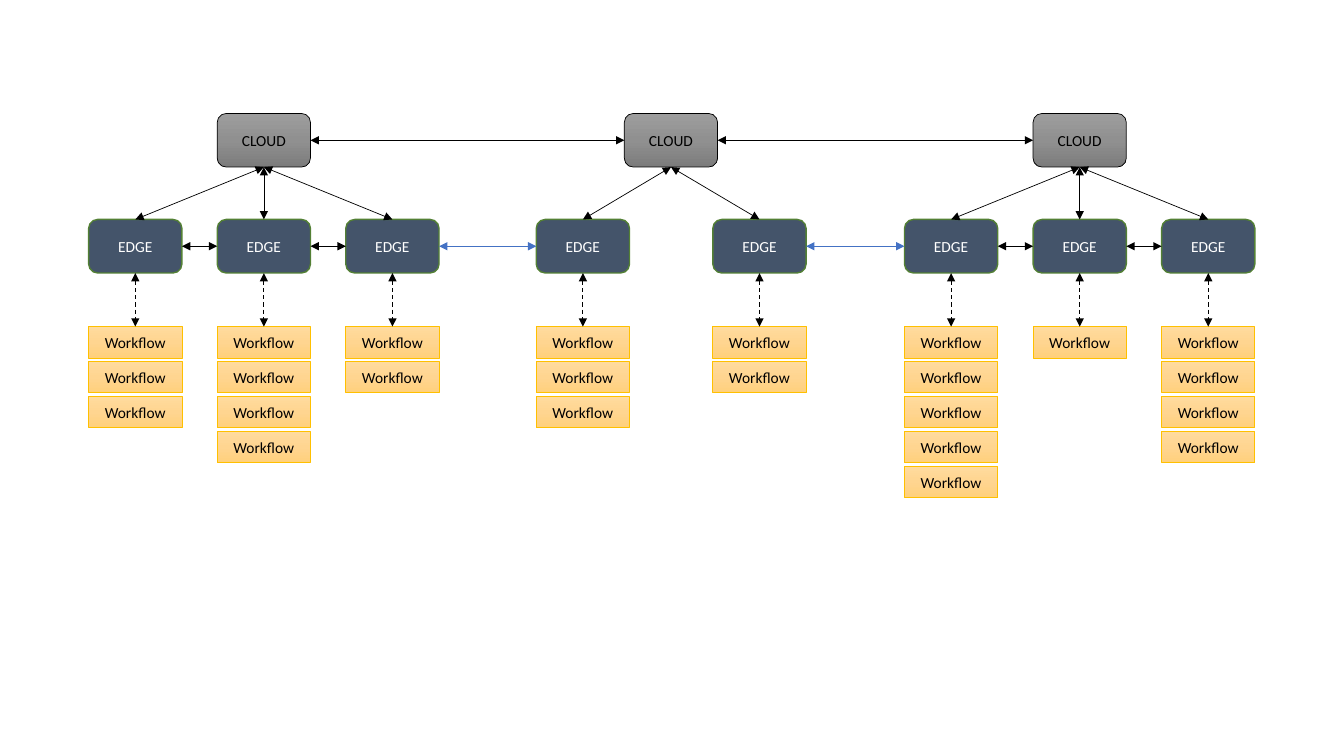
import copy
import itertools

import lxml.etree
import pptx
import pptx.dml.color
import pptx.enum.dml
import pptx.enum.shapes
import pptx.enum.text
import pptx.oxml.ns
import pptx.util

Cm = pptx.util.Cm
Pt = pptx.util.Pt
RGBColor = pptx.dml.color.RGBColor
Shape = pptx.enum.shapes.MSO_SHAPE
qn = pptx.oxml.ns.qn

BLACK = RGBColor(0x00, 0x00, 0x00)
WHITE = RGBColor(0xFF, 0xFF, 0xFF)
SLATE = RGBColor(0x44, 0x54, 0x6A)
GREEN = RGBColor(0x53, 0x80, 0x35)
BLUE = RGBColor(0x44, 0x72, 0xC4)
GOLD = RGBColor(0xFF, 0xC0, 0x00)
GREYS = [RGBColor(0x9D, 0x9D, 0x9D), RGBColor(0x90, 0x90, 0x90), RGBColor(0x7C, 0x7C, 0x7C)]
AMBERS = [RGBColor(0xFF, 0xDB, 0x9E), RGBColor(0xFF, 0xD5, 0x90), RGBColor(0xFF, 0xD0, 0x7C)]

TOP, LEFT, BOTTOM, RIGHT = range(4)
NODE_WIDTH = 2.35
NODE_HEIGHT = 1.35
CLOUD_TOP = 2.86
EDGE_TOP = 5.53
WORKFLOW_TOP = 8.23
WORKFLOW_HEIGHT = 0.79
WORKFLOW_PITCH = 0.88

CLOUD = dict(label="CLOUD", kind=Shape.FLOWCHART_ALTERNATE_PROCESS, height=NODE_HEIGHT,
             colors=GREYS, outline=BLACK, weight=0.5, ink=BLACK)
EDGE = dict(label="EDGE", kind=Shape.FLOWCHART_ALTERNATE_PROCESS, height=NODE_HEIGHT,
            colors=[SLATE], outline=GREEN, weight=1, ink=WHITE)
WORKFLOW = dict(label="Workflow", kind=Shape.RECTANGLE, height=WORKFLOW_HEIGHT,
                colors=AMBERS, outline=GOLD, weight=0.5, ink=BLACK)

SITES = [
    (6.65, [(3.41, 3), (6.65, 4), (9.89, 2)]),
    (16.91, [(14.69, 3), (19.14, 2)]),
    (27.21, [(23.97, 5), (27.21, 1), (30.45, 4)]),
]

FRAME_FORMAT = dict(margin_left=0, margin_right=0, margin_top=0, margin_bottom=0,
                    word_wrap=True, vertical_anchor=pptx.enum.text.MSO_ANCHOR.MIDDLE)
FONT_FORMAT = dict(name="Calibri", size=Pt(11))


def set_format(target, values):
    for attribute, value in values.items():
        setattr(target, attribute, value)


def paint(box, colors):
    if len(colors) == 1:
        box.fill.solid()
        box.fill.fore_color.rgb = colors[0]
        return
    box.fill.gradient()
    box.fill.gradient_angle = 270
    stops = box.element.spPr.find(qn("a:gradFill")).find(qn("a:gsLst"))
    middle = copy.deepcopy(stops[0])
    stops.insert(1, middle)
    for position, stop, color in zip((0, 0.5, 1), box.fill.gradient_stops, colors):
        stop.position = position
        stop.color.rgb = color


def add_node(slide, center, top, label, kind, height, colors, outline, weight, ink):
    node = slide.shapes.add_shape(kind, Cm(center - NODE_WIDTH / 2), Cm(top),
                                  Cm(NODE_WIDTH), Cm(height))
    node.shadow.inherit = False
    paint(node, colors)
    node.line.color.rgb = outline
    node.line.width = Pt(weight)
    set_format(node.text_frame, FRAME_FORMAT)
    paragraph = node.text_frame.paragraphs[0]
    paragraph.alignment = pptx.enum.text.PP_ALIGN.CENTER
    caption = paragraph.add_run()
    caption.text = label
    set_format(caption.font, FONT_FORMAT)
    caption.font.color.rgb = ink
    return node


def add_link(slide, start, start_side, end, end_side, color=BLACK, weight=0.5, dash=None):
    link = slide.shapes.add_connector(pptx.enum.shapes.MSO_CONNECTOR.STRAIGHT, 0, 0, 0, 0)
    link.begin_connect(start, start_side)
    link.end_connect(end, end_side)
    link.line.color.rgb = color
    set_format(link.line, dict(width=Pt(weight), dash_style=dash))
    properties = link.element.spPr
    stroke = properties.find(qn("a:ln"))
    for tip in ("a:headEnd", "a:tailEnd"):
        lxml.etree.SubElement(stroke, qn(tip), type="triangle")
    lxml.etree.SubElement(properties, qn("a:effectLst"))


def add_workflows(slide, edge, center, count):
    stack = [add_node(slide, center, WORKFLOW_TOP + row * WORKFLOW_PITCH, **WORKFLOW)
             for row in range(count)]
    add_link(slide, edge, BOTTOM, stack[0], TOP, weight=0.75,
             dash=pptx.enum.dml.MSO_LINE.DASH)


def add_site(slide, cloud_center, columns):
    cloud = add_node(slide, cloud_center, CLOUD_TOP, **CLOUD)
    edges = []
    for center, count in columns:
        edge = add_node(slide, center, EDGE_TOP, **EDGE)
        add_link(slide, cloud, BOTTOM, edge, TOP)
        add_workflows(slide, edge, center, count)
        edges.append(edge)
    if len(edges) == 3:
        for west, east in itertools.pairwise(edges):
            add_link(slide, west, RIGHT, east, LEFT)
    return cloud, edges


def main():
    deck = pptx.Presentation()
    set_format(deck, dict(slide_width=Cm(33.87), slide_height=Cm(19.05)))
    slide = deck.slides.add_slide(deck.slide_layouts[6])
    sites = [add_site(slide, center, columns) for center, columns in SITES]
    for (cloud, edges), (next_cloud, next_edges) in itertools.pairwise(sites):
        add_link(slide, cloud, RIGHT, next_cloud, LEFT)
        add_link(slide, edges[-1], RIGHT, next_edges[0], LEFT, color=BLUE)
    deck.save("out.pptx")


main()
